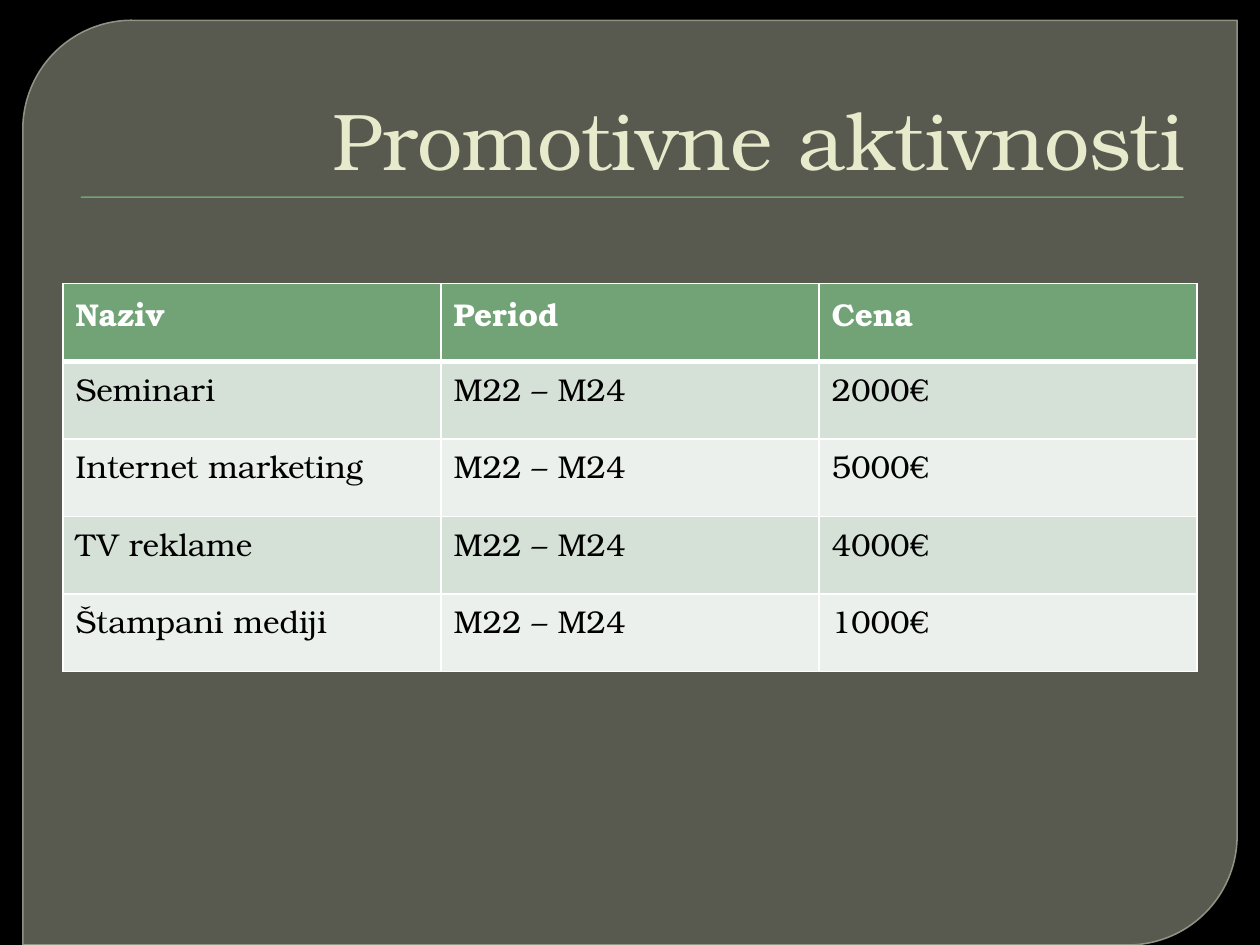
from dataclasses import dataclass

from lxml.etree import SubElement
from pptx import Presentation
from pptx.dml.color import RGBColor
from pptx.enum.shapes import MSO_SHAPE
from pptx.enum.text import MSO_ANCHOR, PP_ALIGN
from pptx.oxml.ns import qn
from pptx.util import Cm, Pt

TITLE = "Promotivne aktivnosti"
HEADINGS = ("Naziv", "Period", "Cena")
PERIOD = "M22 – M24"
ACTIVITIES = [
    ("Seminari", PERIOD, "2000€"),
    ("Internet marketing", PERIOD, "5000€"),
    ("TV reklame", PERIOD, "4000€"),
    ("Štampani mediji", PERIOD, "1000€"),
]


@dataclass(frozen=True)
class Theme:
    """Colours, font and type sizes of the slide."""
    font: str = "TeX Gyre Bonum"
    title_size: int = 46
    table_size: int = 18
    backdrop: str = "000000"
    panel: str = "888B7B"
    panel_edge: str = "9DA090"
    title: str = "E7EACB"
    accent: str = "72A376"
    bands: tuple = ("D5E0D6", "EBF0EC")
    body: str = "000000"
    light: str = "FFFFFF"


THEME = Theme()


def rgb(code):
    """Turn a hex code into a colour."""
    return RGBColor.from_string(code)


def paint(fill, code):
    """Make a fill solid in one colour."""
    fill.solid()
    fill.fore_color.rgb = rgb(code)


def set_alpha(properties, percent):
    """Set the opacity of the solid fill directly under an element."""
    colour = properties.find(qn("a:solidFill"))[0]
    SubElement(colour, qn("a:alpha"), val=str(percent * 1000))


def style(paragraph, size, code, bold=False):
    """Set the font of a whole paragraph."""
    font = paragraph.font
    font.name, font.size, font.bold = THEME.font, Pt(size), bold
    font.color.rgb = rgb(code)


def add_panel(slide):
    """Draw the translucent panel with two rounded corners."""
    panel = slide.shapes.add_shape(
        MSO_SHAPE.ROUND_2_DIAG_RECTANGLE, Cm(0.46), Cm(0.41), Cm(24.48), Cm(18.64))
    panel.adjustments[0], panel.adjustments[1] = 0.118, 0
    panel.shadow.inherit = False
    paint(panel.fill, THEME.panel)
    set_alpha(panel.fill._xPr, 65)
    paint(panel.line.fill, THEME.panel_edge)
    panel.line.width = Pt(0.87)
    set_alpha(panel.line._ln, 88)


def add_title(slide):
    """Write the title above its thin rule."""
    rule = slide.shapes.add_shape(
        MSO_SHAPE.RECTANGLE, Cm(1.63), Cm(3.96), Cm(22.23), Cm(0.03))
    rule.shadow.inherit = False
    paint(rule.fill, THEME.accent)
    rule.line.fill.background()

    frame = slide.shapes.add_textbox(Cm(1.27), Cm(0.71), Cm(22.86), Cm(3.18)).text_frame
    frame.word_wrap = True
    frame.vertical_anchor = MSO_ANCHOR.BOTTOM
    heading = frame.paragraphs[0]
    heading.text = TITLE
    heading.alignment = PP_ALIGN.RIGHT
    style(heading, THEME.title_size, THEME.title)


def add_borders(cell, **widths):
    """Give a cell solid light borders, with widths in points by side."""
    properties = cell._tc.get_or_add_tcPr()
    for side in "LRTB":
        border = SubElement(properties, qn(f"a:ln{side}"), w=str(Pt(widths.get(side, 1))))
        solid = SubElement(border, qn("a:solidFill"))
        SubElement(solid, qn("a:srgbClr"), val=THEME.light)


def add_activities(slide):
    """Build the table of promotional activities."""
    rows = [HEADINGS, *ACTIVITIES]
    table = slide.shapes.add_table(
        len(rows), len(HEADINGS), Cm(1.27), Cm(5.72), Cm(22.86), Cm(7.82)).table
    for r, row in enumerate(rows):
        is_header = r == 0
        widths = {0: {"B": 3}, 1: {"T": 3}}.get(r, {})
        for c, wording in enumerate(row):
            cell = table.cell(r, c)
            add_borders(cell, **widths)
            paint(cell.fill, THEME.accent if is_header else THEME.bands[(r - 1) % 2])
            cell.text = wording
            style(cell.text_frame.paragraphs[0], THEME.table_size,
                  THEME.light if is_header else THEME.body, is_header)


def main():
    """Build and save the slide."""
    deck = Presentation()
    deck.slide_width, deck.slide_height = Cm(25.4), Cm(19.05)
    slide = deck.slides.add_slide(deck.slide_layouts[6])
    paint(slide.background.fill, THEME.backdrop)
    add_panel(slide)
    add_title(slide)
    add_activities(slide)
    deck.save("out.pptx")


main()
